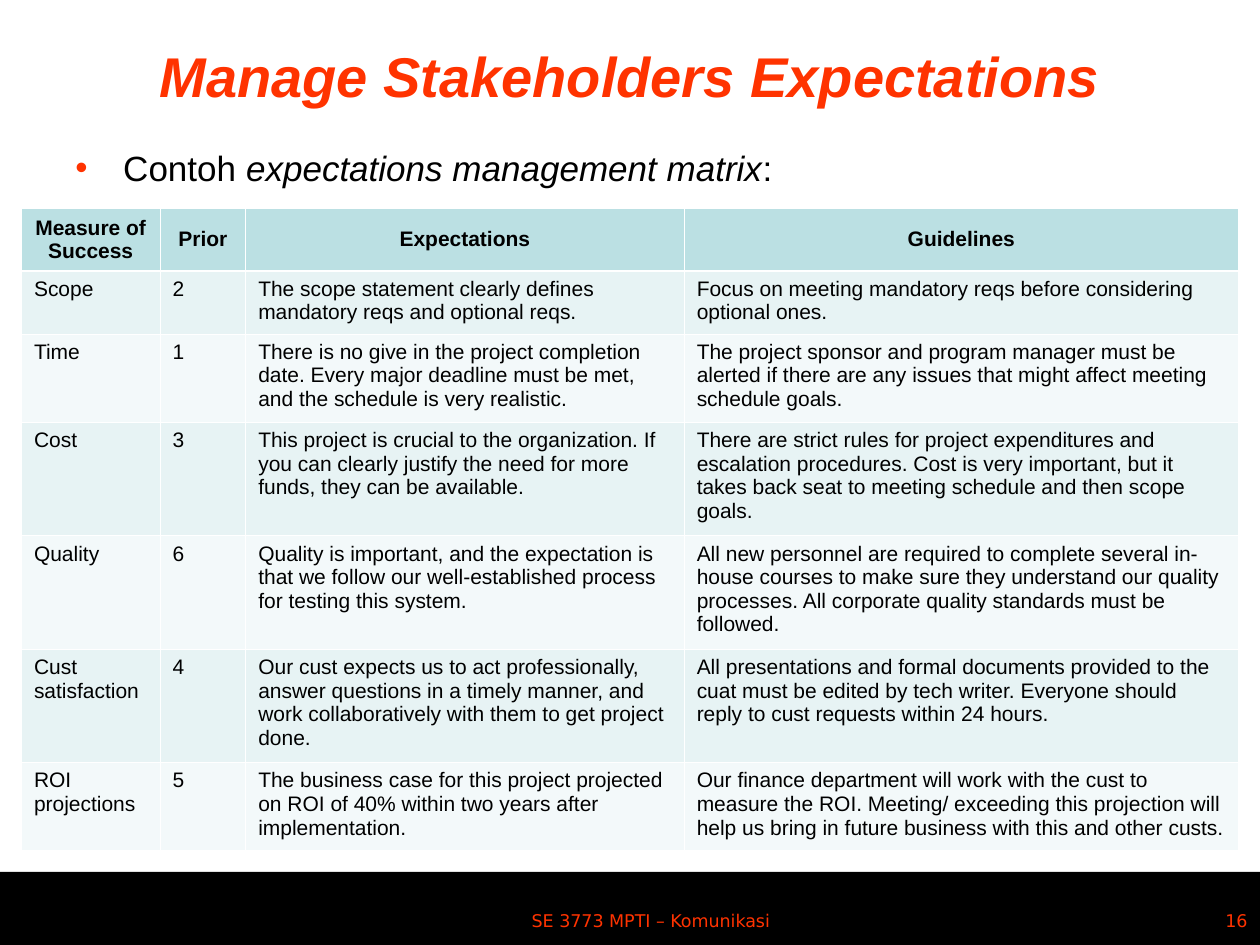
import pptx
import pptx.util
import pptx.oxml
import pptx.dml.color
import pptx.enum.shapes
import pptx.enum.text
from pptx.oxml.ns import qn

Inches = pptx.util.Inches
Align = pptx.enum.text.PP_ALIGN
Anchor = pptx.enum.text.MSO_ANCHOR

# Content
RED, BLACK, WHITE = "FF3300", "000000", "FFFFFF"
HEAD, BANDS = "BBE0E3", ("E7F3F4", "F3F9FA")
TITLE = "Manage Stakeholders Expectations"
INTRO = [("Contoh ", False), ("expectations management matrix", True), (":", False)]
FOOT, PAGE = "SE 3773 MPTI – Komunikasi", "16"
COLS = (1.1, 0.68, 3.48, 4.4)
HIGHS = (0.5, 0.5, 0.7, 0.9, 0.9, 0.9, 0.7)
ROWS = [
    ("Measure of Success", "Prior", "Expectations", "Guidelines"),
    ("Scope", "2",
     "The scope statement clearly defines mandatory reqs and optional reqs.",
     "Focus on meeting mandatory reqs before considering optional ones."),
    ("Time", "1",
     "There is no give in the project completion date. Every major deadline "
     "must be met, and the schedule is very realistic.",
     "The project sponsor and program manager must be alerted if there are any "
     "issues that might affect meeting schedule goals."),
    ("Cost", "3",
     "This project is crucial to the organization. If you can clearly justify "
     "the need for more funds, they can be available.",
     "There are strict rules for project expenditures and escalation procedures. "
     "Cost is very important, but it takes back seat to meeting schedule and "
     "then scope goals."),
    ("Quality", "6",
     "Quality is important, and the expectation is that we follow our "
     "well-established process for testing this system.",
     "All new personnel are required to complete several in-house courses to "
     "make sure they understand our quality processes. All corporate quality "
     "standards must be followed."),
    ("Cust satisfaction", "4",
     "Our cust expects us to act professionally, answer questions in a timely "
     "manner, and work collaboratively with them to get project done.",
     "All presentations and formal documents provided to the cuat must be edited "
     "by tech writer. Everyone should reply to cust requests within 24 hours."),
    ("ROI projections", "5",
     "The business case for this project projected on ROI of 40% within two "
     "years after implementation.",
     "Our finance department will work with the cust to measure the ROI. Meeting/ "
     "exceeding this projection will help us bring in future business with this "
     "and other custs."),
]

# Text formats
BIG = {"name": "Arial", "size": 32, "color": RED, "bold": True, "italic": True}
BODY = {"name": "Arial", "size": 20, "color": BLACK}
CELL = {"name": "Arial", "size": 12, "color": BLACK, "bold": False}
SMALL = {"name": "DejaVu Sans", "size": 10, "color": RED}


def shade(text):
    return pptx.dml.color.RGBColor.from_string(text)


def paint(item, tint):
    item.fill.solid()
    item.fill.fore_color.rgb = shade(tint)


def style(font, look):
    for key, value in look.items():
        if key == "color":
            font.color.rgb = shade(value)
        else:
            setattr(font, key, pptx.util.Pt(value) if key == "size" else value)


def write(para, parts, look, align):
    para.alignment = align
    for text, slant in parts:
        run = para.add_run()
        run.text = text
        style(run.font, {"italic": slant, **look})


def label(slide, place, parts, look, align, anchor=Anchor.TOP):
    frame = slide.shapes.add_textbox(*map(Inches, place)).text_frame
    frame.word_wrap = True
    frame.vertical_anchor = anchor
    write(frame.paragraphs[0], parts, look, align)
    return frame


def bullet(para, sign, tint, indent):
    props = para._p.get_or_add_pPr()
    props.set("marL", str(indent))
    props.set("indent", str(-indent))
    space = 'xmlns:a="http://schemas.openxmlformats.org/drawingml/2006/main"'
    for xml in (f'<a:buClr {space}><a:srgbClr val="{tint}"/></a:buClr>',
                f'<a:buFont {space} typeface="Arial"/>',
                f'<a:buChar {space} char="{sign}"/>'):
        props.append(pptx.oxml.parse_xml(xml))


def edge(cell, widths):
    props = cell._tc.get_or_add_tcPr()
    for spot, (side, width) in enumerate(widths.items()):
        line = props.makeelement(qn("a:" + side), {"w": str(pptx.util.Pt(width))})
        fill = line.makeelement(qn("a:solidFill"), {})
        fill.append(fill.makeelement(qn("a:srgbClr"), {"val": WHITE}))
        line.append(fill)
        props.insert(spot, line)


def grid(slide):
    place = (0.17, 1.65, sum(COLS), sum(HIGHS))
    table = slide.shapes.add_table(len(ROWS), len(COLS), *map(Inches, place)).table
    for col, width in zip(table.columns, COLS):
        col.width = Inches(width)
    for r, (texts, high) in enumerate(zip(ROWS, HIGHS)):
        table.rows[r].height = Inches(high)
        top = r == 0
        for c, text in enumerate(texts):
            cell = table.cell(r, c)
            paint(cell, HEAD if top else BANDS[(r - 1) % 2])
            cell.vertical_anchor = Anchor.MIDDLE if top else Anchor.TOP
            write(cell.text_frame.paragraphs[0], [(text, False)],
                  {**CELL, "bold": top}, Align.CENTER if top else Align.LEFT)
            edge(cell, {"lnL": 0.45, "lnR": 0.45, "lnT": 1.47 if r == 1 else 0.45,
                        "lnB": 1.47 if top else 0.45})


def main():
    deck = pptx.Presentation()
    deck.slide_width, deck.slide_height = Inches(10), Inches(7.5)
    slide = deck.slides.add_slide(deck.slide_layouts[6])

    # Footer band
    band = slide.shapes.add_shape(pptx.enum.shapes.MSO_SHAPE.RECTANGLE,
                                  *map(Inches, (0, 6.92, 10, 0.58)))
    band.shadow.inherit = False
    band.line.fill.background()
    paint(band, BLACK)

    # Title and intro line
    label(slide, (0.5, 0.25, 9, 0.7), [(TITLE, True)], BIG, Align.CENTER, Anchor.MIDDLE)
    intro = label(slide, (0.5, 1.08, 9, 5.83), INTRO, BODY, Align.LEFT)
    intro.margin_top = Inches(0.08)
    bullet(intro.paragraphs[0], "•", RED, Inches(0.38))

    # Footer text
    label(slide, (2.5, 7.17, 5.33, 0.25), [(FOOT, False)], SMALL, Align.CENTER)
    label(slide, (8.33, 7.17, 1.67, 0.33), [(PAGE, False)], SMALL, Align.RIGHT)

    # Expectations matrix
    grid(slide)
    deck.save("out.pptx")


if __name__ == "__main__":
    main()
